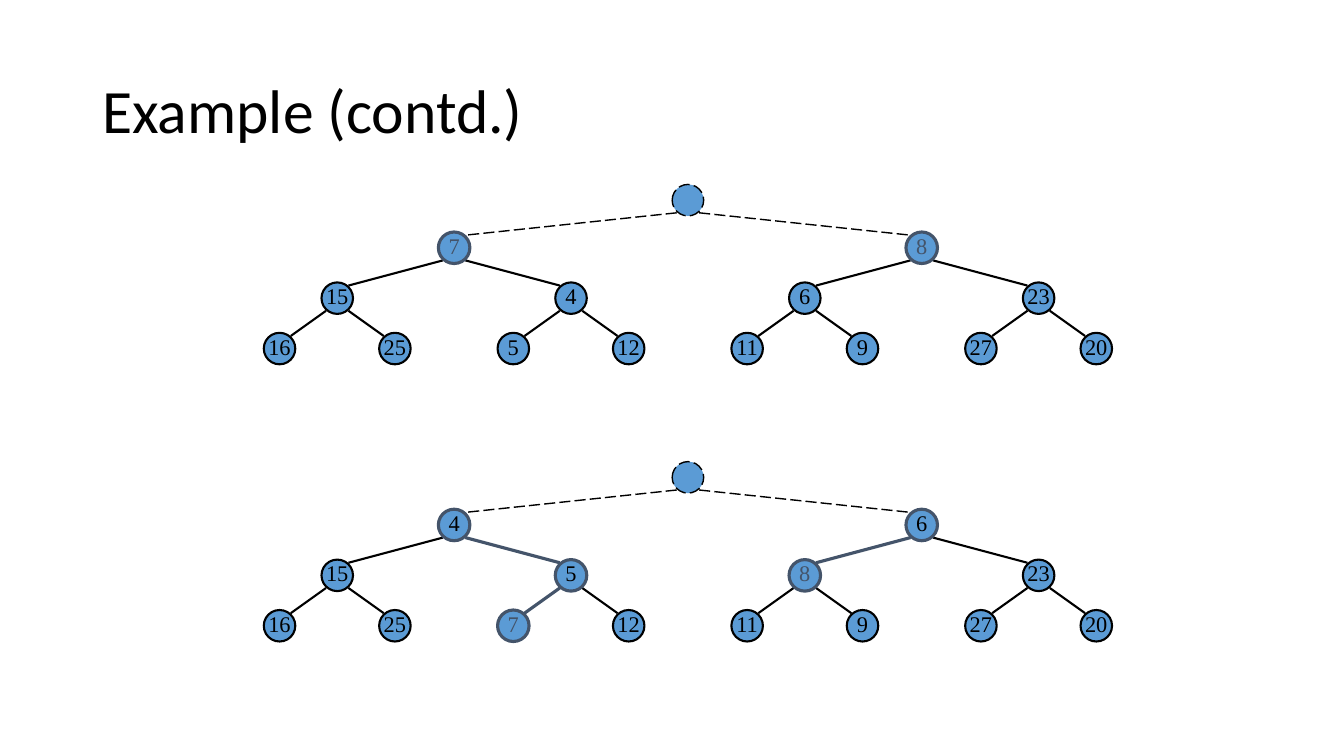
from dataclasses import dataclass

from lxml import etree
from pptx import Presentation
from pptx.dml.color import RGBColor
from pptx.enum.dml import MSO_LINE
from pptx.enum.shapes import MSO_CONNECTOR, MSO_SHAPE
from pptx.enum.text import MSO_ANCHOR, PP_ALIGN
from pptx.oxml.ns import qn
from pptx.util import Pt

STRAIGHT = MSO_CONNECTOR.STRAIGHT
OVAL = MSO_SHAPE.OVAL
LONG_DASH = MSO_LINE.LONG_DASH
MIDDLE = MSO_ANCHOR.MIDDLE
CENTER = PP_ALIGN.CENTER
LEFT = PP_ALIGN.LEFT

BLACK, SLATE, BLUE = "000000", "44546A", "5B9BD5"
DIAMETER = 22.5
CORNER = 8  # offset from a node's centre to its diagonal rim point
ROOT_X = 491.4
LEVEL_DROPS = (0, 34, 70, 106)
LEVEL_SPREADS = (0, 167, 83.5, 41.2)

TITLE_FRAME = {"word_wrap": True, "vertical_anchor": MIDDLE}
NODE_FRAME = {
    "word_wrap": False, "vertical_anchor": MIDDLE, "margin_left": 0,
    "margin_right": 0, "margin_top": 0, "margin_bottom": Pt(3.6),
}


@dataclass(frozen=True)
class Stroke:
    """Line format of a node or an edge."""
    color: str
    width: float
    dash: object = None


PLAIN = Stroke(BLACK, 1.5)
SIFTED = Stroke(SLATE, 2.25)
PENDING = Stroke(BLACK, 1, LONG_DASH)


@dataclass(frozen=True)
class Heap:
    """Keys in level order, and the index paths along which keys sink."""
    root_y: float
    keys: tuple
    sink_paths: tuple


HEAPS = (
    Heap(143, ("", 7, 8, 15, 4, 6, 23, 16, 25, 5, 12, 11, 9, 27, 20),
         ((1,), (2,))),
    Heap(341, ("", 4, 6, 15, 5, 8, 23, 16, 25, 7, 12, 11, 9, 27, 20),
         ((1, 4, 9), (2, 5))),
)


def apply(target, values: dict) -> None:
    """Set every attribute named in values on target."""
    for name, value in values.items():
        setattr(target, name, value)


def paint(color_format, color: str) -> None:
    """Give a colour format a hex colour."""
    color_format.rgb = RGBColor.from_string(color)


def draw_stroke(line, stroke: Stroke) -> None:
    """Apply a stroke to a line format."""
    line.fill.solid()
    paint(line.fill.fore_color, stroke.color)
    apply(line, {"width": Pt(stroke.width), "dash_style": stroke.dash})


def write(shape, text: str, frame_format: dict, paragraph_format: dict,
          font_format: dict, color: str) -> None:
    """Write one formatted paragraph into a shape."""
    apply(shape.text_frame, frame_format)
    paragraph = shape.text_frame.paragraphs[0]
    apply(paragraph, paragraph_format)
    run = paragraph.add_run()
    run.text = text
    apply(run.font, font_format)
    paint(run.font.color, color)


def center_of(index: int, root_y: float) -> tuple[float, float]:
    """Find the centre of the node at a level-order index."""
    depth = (index + 1).bit_length() - 1
    x = ROOT_X
    ancestor = index
    for spread in reversed(LEVEL_SPREADS[1:depth + 1]):
        x += -spread if ancestor % 2 else spread
        ancestor = (ancestor - 1) // 2
    return x, root_y + LEVEL_DROPS[depth]


def draw_edge(shapes, parent: tuple, child: tuple, stroke: Stroke) -> None:
    """Join a parent to its child between facing diagonal rim points."""
    side = CORNER if child[0] > parent[0] else -CORNER
    edge = shapes.add_connector(
        STRAIGHT, Pt(parent[0] + side), Pt(parent[1] + CORNER + 1),
        Pt(child[0] - side), Pt(child[1] - CORNER - 1))
    draw_stroke(edge.line, stroke)
    etree.SubElement(edge._element.spPr, qn("a:effectLst"))


def draw_node(shapes, center: tuple, key: str, stroke: Stroke,
              key_color: str) -> None:
    """Draw a round node, with its key if it has one."""
    radius = DIAMETER / 2
    node = shapes.add_shape(OVAL, Pt(center[0] - radius),
                            Pt(center[1] - radius), Pt(DIAMETER), Pt(DIAMETER))
    node.shadow.inherit = False
    node.fill.solid()
    paint(node.fill.fore_color, BLUE)
    draw_stroke(node.line, stroke)
    if key:
        write(node, key, NODE_FRAME, {"alignment": CENTER},
              {"name": "Times New Roman", "size": Pt(16)}, key_color)


def draw_heap(shapes, heap: Heap) -> None:
    """Draw a heap, marking the paths along which keys sink."""
    centers = [center_of(i, heap.root_y) for i in range(len(heap.keys))]
    sifted_nodes = {i for path in heap.sink_paths for i in path}
    sifted_edges = {i for path in heap.sink_paths for i in path[1:]}
    sunk_keys = {path[-1] for path in heap.sink_paths}

    for child in range(1, len(centers)):
        parent = (child - 1) // 2
        stroke = (PENDING if parent == 0
                  else SIFTED if child in sifted_edges else PLAIN)
        draw_edge(shapes, centers[parent], centers[child], stroke)
    for i, key in enumerate(heap.keys):
        stroke = (PENDING if i == 0
                  else SIFTED if i in sifted_nodes else PLAIN)
        draw_node(shapes, centers[i], str(key), stroke,
                  SLATE if i in sunk_keys else BLACK)


def build() -> None:
    """Build the slide and save it."""
    deck = Presentation()
    apply(deck, {"slide_width": Pt(960), "slide_height": Pt(540)})
    shapes = deck.slides.add_slide(deck.slide_layouts[6]).shapes
    title = shapes.add_textbox(Pt(66), Pt(28.75), Pt(828), Pt(104.4))
    write(title, "Example (contd.)", TITLE_FRAME,
          {"alignment": LEFT, "line_spacing": 0.9},
          {"name": "Calibri", "size": Pt(44)}, BLACK)
    for heap in HEAPS:
        draw_heap(shapes, heap)
    deck.save("out.pptx")


build()
